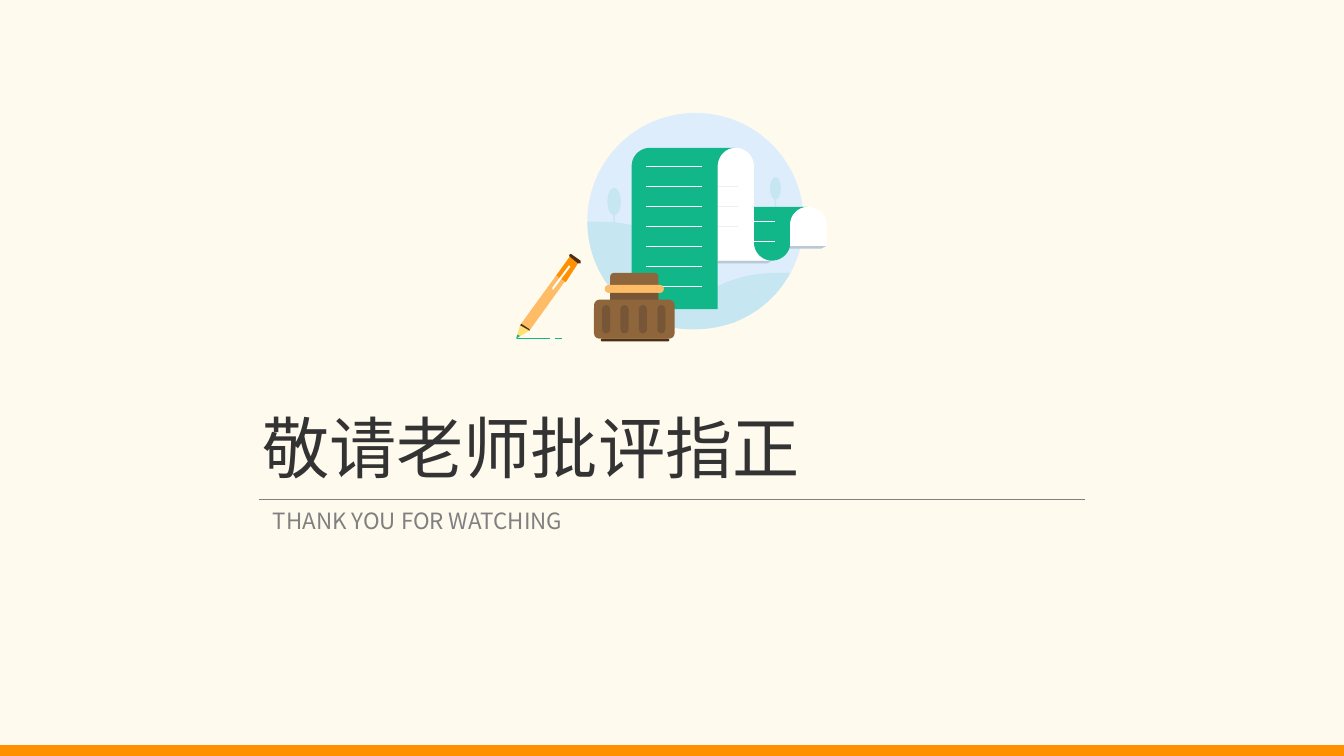
"""Build a closing thank-you slide with an illustrated scroll, pencil and ink jar."""
from dataclasses import dataclass

from lxml import etree
from pptx import Presentation
from pptx.dml.color import RGBColor
from pptx.enum.shapes import MSO_CONNECTOR, MSO_SHAPE
from pptx.enum.text import MSO_ANCHOR, MSO_AUTO_SIZE, PP_ALIGN
from pptx.oxml.ns import qn
from pptx.util import Inches, Pt

OVAL, RECTANGLE, ROUNDED = MSO_SHAPE.OVAL, MSO_SHAPE.RECTANGLE, MSO_SHAPE.ROUNDED_RECTANGLE
STRAIGHT = MSO_CONNECTOR.STRAIGHT
TOP, MIDDLE = MSO_ANCHOR.TOP, MSO_ANCHOR.MIDDLE
JUSTIFY, FIXED = PP_ALIGN.JUSTIFY, MSO_AUTO_SIZE.NONE


@dataclass(frozen=True)
class Theme:
    """Colours, font and type sizes of the slide."""
    font: str = "Noto Sans CJK SC"
    title_size: int = 36
    subtitle_size: int = 12
    rule: float = 0.5
    cream: str = "FEFAEE"
    ink: str = "333333"
    grey: str = "808080"
    sky: str = "DEEDFB"
    hill: str = "C6E6F2"
    green: str = "12B789"
    white: str = "FFFFFF"
    pale: str = "EEEEEE"
    shade: str = "B7C8D6"
    orange: str = "FF9101"
    peach: str = "FFBC66"
    yellow: str = "FDE176"
    brown: str = "8F653B"
    umber: str = "775638"
    dark: str = "502E11"


THEME = Theme()
WIDTH, HEIGHT = 10, 10 * 9 / 16
MARGIN, BAR = 1.93, 0.08
TITLE = ("敬请老师批评指正", (1.85, 2.97, 6.3, 0.71), THEME.title_size, THEME.ink, TOP)
SUBTITLE = ("THANK YOU FOR WATCHING", (MARGIN, 3.76, WIDTH - 2 * MARGIN, 0.22),
            THEME.subtitle_size, THEME.grey, MIDDLE)
DIVIDER_Y = 3.72


def tree(x, y, width, height):
    """Return the outline of a leaf on a thin trunk."""
    right, centre = x + width, x + width / 2
    middle, leaf = y + 0.38 * height, y + 0.75 * height
    stem = 0.005
    return [(right, middle), (right, y + 0.26 * height, right - 0.01, y, centre, y),
            (x + 0.01, y, x, y + 0.26 * height, x, middle),
            (x, middle + 0.03, x + 0.01, leaf - 0.01, centre - stem, leaf),
            (centre - stem, y + height), (centre + stem, y + height), (centre + stem, leaf),
            (right - 0.01, leaf - 0.01, right, middle + 0.03, right, middle)]


BACKDROP = [
    (THEME.hill, [(5.8, 2.03), (5.63, 2.03, 5.48, 2.06, 5.34, 2.13),
                  (5.16, 1.84, 4.84, 1.65, 4.47, 1.65), (4.43, 1.65, 4.4, 1.65, 4.37, 1.65),
                  (4.37, 2.03, 4.63, 2.34, 4.98, 2.43), (5.04, 2.45, 5.11, 2.45, 5.17, 2.45),
                  (5.27, 2.45, 5.37, 2.43, 5.46, 2.4), (5.64, 2.33, 5.79, 2.2, 5.88, 2.03)]),
    (THEME.hill, tree(4.52, 1.4, 0.1, 0.27)),
    (THEME.hill, tree(5.73, 1.32, 0.08, 0.22)),
]
PENCIL = [
    (THEME.peach, [(3.94, 2.46), (3.87, 2.42), (4.24, 1.91), (4.3, 1.96)]),
    (THEME.orange, [(4.21, 2.1), (4.14, 2.05), (4.24, 1.91), (4.3, 1.96)]),
    (THEME.white, [(4.12, 2.15), (4.12, 2.16, 4.11, 2.16, 4.11, 2.14), (4.23, 1.98),
                   (4.23, 1.97, 4.25, 1.98, 4.24, 1.99)]),
    (THEME.dark, [(4.32, 1.96), (4.32, 1.96, 4.31, 1.96, 4.3, 1.96), (4.24, 1.91),
                  (4.23, 1.9, 4.24, 1.89, 4.25, 1.89), (4.32, 1.94)]),
    (THEME.yellow, [(3.84, 2.52), (3.87, 2.42), (3.94, 2.46)]),
    (THEME.dark, [(3.94, 2.45), (3.88, 2.41), (3.87, 2.42), (3.94, 2.46)]),
    (THEME.green, [(3.85, 2.49), (3.84, 2.52), (3.87, 2.5)]),
]
SCROLL_TAIL = [
    (THEME.shade, [(5.34, 1.96), (5.71, 1.96), (5.74, 1.94), (5.34, 1.94)]),
    (THEME.shade, [(5.74, 1.85), (6.11, 1.85), (6.15, 1.83), (5.74, 1.83)]),
    (THEME.green, [(6.01, 1.54), (5.61, 1.54), (5.61, 1.81), (5.61, 1.88, 5.67, 1.94, 5.74, 1.94),
                   (5.82, 1.94, 5.88, 1.88, 5.88, 1.81), (5.88, 1.67),
                   (5.88, 1.6, 5.94, 1.54, 6.01, 1.54)]),
    (THEME.white, [(6.01, 1.54), (5.94, 1.54, 5.88, 1.6, 5.88, 1.67), (5.88, 1.83), (6.15, 1.83),
                   (6.15, 1.67), (6.15, 1.6, 6.09, 1.54, 6.01, 1.54)]),
]
SCROLL_FOLD = [
    (THEME.white, [(5.61, 1.81), (5.61, 1.24), (5.61, 1.16, 5.55, 1.1, 5.47, 1.1),
                   (5.4, 1.1, 5.34, 1.16, 5.34, 1.24), (5.34, 1.94), (5.74, 1.94),
                   (5.67, 1.94, 5.61, 1.88, 5.61, 1.81)]),
]
SCROLL_FRONT = [
    (THEME.green, [(5.47, 1.1), (4.84, 1.1), (4.76, 1.1, 4.7, 1.16, 4.7, 1.24), (4.7, 2.3),
                   (5.34, 2.3), (5.34, 1.24), (5.34, 1.16, 5.4, 1.1, 5.47, 1.1)]),
]
RULE_WIDTH, RULE_GAP = 0.41, 0.148
TAIL_RULES = (THEME.white, 5.36, 1.65, 2)
FOLD_RULES = (THEME.pale, 5.08, 1.39, 3)
FRONT_RULES = (THEME.white, 4.81, 1.24, 7)
PENCIL_STROKES, STROKE_Y = [(3.85, 4.09), (4.13, 4.18)], 2.52
RIDGES = [(THEME.umber, (4.48 + 0.137 * column, 2.27, 0.06, 0.21), 0.03) for column in range(4)]
JAR = [
    (THEME.brown, (4.54, 2.03, 0.36, 0.25), 0.03),
    (THEME.peach, (4.5, 2.12, 0.44, 0.06), 0.03),
    (THEME.brown, (4.42, 2.23, 0.6, 0.29), 0.04),
    *RIDGES,
    (THEME.dark, (4.47, 2.52, 0.51, 0.02), 0.01),
]


def add_block(shapes, kind, color, place):
    block = shapes.add_shape(kind, *map(Inches, place))
    paint(block, color)
    return block


def paint(shape, color):
    shape.fill.solid()
    shape.fill.fore_color.rgb = RGBColor.from_string(color)
    shape.line.fill.background()
    shape.shadow.inherit = False


def add_rule(shapes, color, left, right, y):
    rule = shapes.add_connector(STRAIGHT, *map(Inches, (left, y, right, y)))
    rule.line.color.rgb = RGBColor.from_string(color)
    rule.line.width = Pt(THEME.rule)
    etree.SubElement(rule.element.spPr, qn("a:effectLst"))


def add_ruling(shapes, color, left, top, count):
    for row in range(count):
        add_rule(shapes, color, left, left + RULE_WIDTH, top + row * RULE_GAP)


def trace(outline, steps=12):
    """Turn points and cubic curves into a list of points."""
    points = [outline[0]]
    for segment in outline[1:]:
        if len(segment) == 2:
            points.append(segment)
            continue
        knots = [points[-1], segment[:2], segment[2:4], segment[4:]]
        for step in range(1, steps + 1):
            t = step / steps
            weights = ((1 - t) ** 3, 3 * t * (1 - t) ** 2, 3 * t * t * (1 - t), t ** 3)
            points.append(tuple(sum(weight * knot[axis] for weight, knot in zip(weights, knots))
                                for axis in (0, 1)))
    return [(Inches(x), Inches(y)) for x, y in points]


def add_outlines(shapes, outlines):
    for color, outline in outlines:
        start, *others = trace(outline)
        builder = shapes.build_freeform(*start)
        builder.add_line_segments(others)
        paint(builder.convert_to_shape(), color)


def fill_placeholder(box, text, place, size, color, anchor):
    box.left, box.top, box.width, box.height = map(Inches, place)
    frame = box.text_frame
    frame.text = text
    frame.word_wrap, frame.auto_size, frame.vertical_anchor = True, FIXED, anchor
    para = frame.paragraphs[0]
    para.alignment, para.space_before = JUSTIFY, Pt(0)
    font = para.runs[0].font
    font.name, font.size, font.color.rgb = THEME.font, Pt(size), RGBColor.from_string(color)
    east_asian = etree.SubElement(para.runs[0].font._element, qn("a:ea"))
    east_asian.set("typeface", THEME.font)


def draw_illustration(shapes):
    add_block(shapes, OVAL, THEME.sky, (4.37, 0.84, 1.61, 1.61))
    add_outlines(shapes, BACKDROP)
    for left, right in PENCIL_STROKES:
        add_rule(shapes, THEME.green, left, right, STROKE_Y)
    add_outlines(shapes, PENCIL + SCROLL_TAIL)
    add_ruling(shapes, *TAIL_RULES)
    add_outlines(shapes, SCROLL_FOLD)
    add_ruling(shapes, *FOLD_RULES)
    add_outlines(shapes, SCROLL_FRONT)
    add_ruling(shapes, *FRONT_RULES)
    for color, place, radius in JAR:
        add_block(shapes, ROUNDED, color, place).adjustments[0] = radius / min(place[2:])
    add_block(shapes, RECTANGLE, THEME.umber, (4.54, 2.18, 0.36, 0.05))


def main():
    deck = Presentation()
    deck.slide_width, deck.slide_height = Inches(WIDTH), Inches(HEIGHT)
    page = deck.slides.add_slide(deck.slide_layouts[0])
    page.background.fill.solid()
    page.background.fill.fore_color.rgb = RGBColor.from_string(THEME.cream)
    fill_placeholder(page.shapes.title, *TITLE)
    fill_placeholder(page.placeholders[1], *SUBTITLE)
    draw_illustration(page.shapes.add_group_shape().shapes)
    add_block(page.shapes, RECTANGLE, THEME.orange, (0, HEIGHT - BAR, WIDTH, BAR))
    add_rule(page.shapes, THEME.grey, MARGIN, WIDTH - MARGIN, DIVIDER_Y)
    deck.save("out.pptx")


if __name__ == "__main__":
    main()
